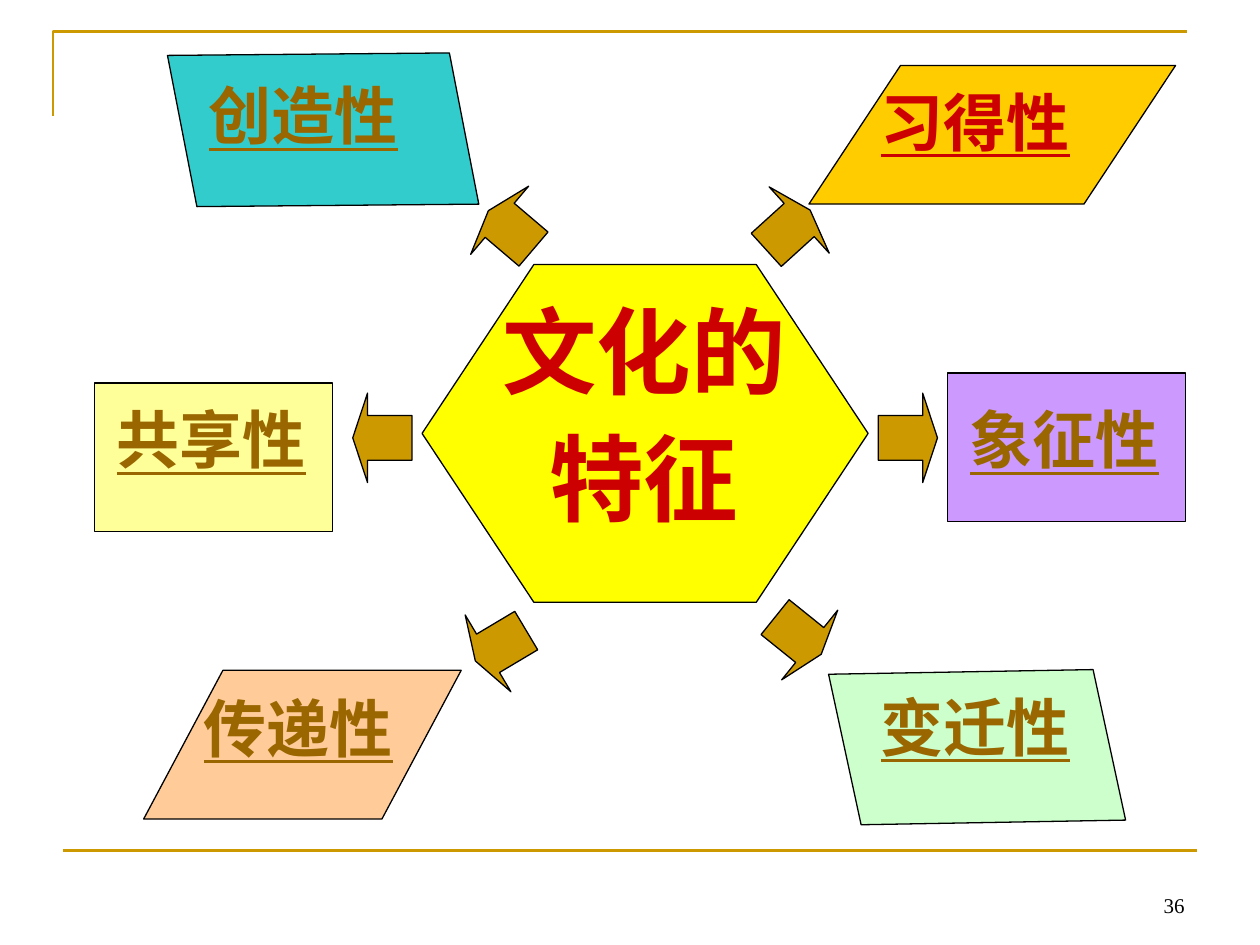
import dataclasses
import pptx
import pptx.util
import pptx.dml.color
import pptx.enum.shapes
import pptx.enum.text
import pptx.oxml.ns
import lxml.etree

Inches = pptx.util.Inches
Pt = pptx.util.Pt
Kind = pptx.enum.shapes.MSO_SHAPE
Align = pptx.enum.text.PP_ALIGN
Anchor = pptx.enum.text.MSO_ANCHOR


@dataclasses.dataclass(frozen=True)
class Theme:
    gold: str = "CC9900"
    black: str = "000000"
    red: str = "CC0000"
    brown: str = "996600"
    yellow: str = "FFFF00"
    orange: str = "FFCC00"
    peach: str = "FFCC99"
    mint: str = "CCFFCC"
    teal: str = "33CCCC"
    cream: str = "FFFF99"
    violet: str = "CC99FF"
    hei: str = "Noto Sans CJK SC"
    roman: str = "Times New Roman"
    head: int = 54
    label: int = 36
    small: int = 12
    rule: float = 1.5
    edge: float = 0.75


THEME = Theme()


def color(code):
    return pptx.dml.color.RGBColor.from_string(code)


def stroke(line, code, width):
    line.color.rgb = color(code)
    line.width = Pt(width)


def place(shape, box):
    shape.left, shape.top, shape.width, shape.height = map(Inches, box)


def add_run(para, text, size, code, face, bold=False, under=False):
    run = para.add_run()
    run.text = text
    font = run.font
    font.size = Pt(size)
    font.name = face
    font.bold = bold
    font.underline = under
    font.color.rgb = color(code)
    east = lxml.etree.Element(pptx.oxml.ns.qn("a:ea"), typeface=face)
    run._r.rPr.find(pptx.oxml.ns.qn("a:latin")).addnext(east)


def set_frame(shape, anchor=Anchor.TOP):
    frame = shape.text_frame
    frame.word_wrap = True
    frame.auto_size = pptx.enum.text.MSO_AUTO_SIZE.NONE
    frame.vertical_anchor = anchor
    return frame


def add_block(slide, box, kind, fill, turn=0, adjust=()):
    shape = slide.shapes.add_shape(kind, *map(Inches, box))
    shape.shadow.inherit = False
    shape.fill.solid()
    shape.fill.fore_color.rgb = color(fill)
    stroke(shape.line, THEME.black, THEME.edge)
    shape.rotation = turn
    for spot, value in enumerate(adjust):
        shape.adjustments[spot] = value
    return shape


def add_border(slide, box):
    left, top, width, height = box
    right = left + width
    pen = slide.shapes.build_freeform(Inches(left), Inches(top + 0.67))
    pen.add_line_segments(
        [(Inches(left), Inches(top)), (Inches(right), Inches(top))], close=False)
    corner = pen.convert_to_shape()
    corner.shadow.inherit = False
    corner.fill.background()
    stroke(corner.line, THEME.gold, THEME.rule)

    low = Inches(top + height)
    base = slide.shapes.add_connector(
        pptx.enum.shapes.MSO_CONNECTOR.STRAIGHT,
        Inches(left + 0.08), low, Inches(right + 0.08), low)
    stroke(base.line, THEME.gold, THEME.rule)
    lxml.etree.SubElement(base._element.spPr, pptx.oxml.ns.qn("a:effectLst"))


def add_number(slide, box, text):
    frame = set_frame(slide.shapes.add_textbox(*map(Inches, box)), Anchor.BOTTOM)
    para = frame.paragraphs[0]
    para.alignment = Align.RIGHT
    add_run(para, text, THEME.small, THEME.black, THEME.roman)


def add_center(slide, box, lines):
    left, top, width, height = box
    hexagon = add_block(slide, box, Kind.HEXAGON, THEME.yellow, adjust=(0.331,))
    title = slide.shapes.title
    place(title, (left + 0.45, top + 0.31, width - 0.92, height - 0.51))
    hexagon._element.addnext(title._element)
    frame = set_frame(title)
    for row, text in enumerate(lines):
        para = frame.add_paragraph() if row else frame.paragraphs[0]
        para.alignment = Align.CENTER
        para.space_before = Pt(18) if row else Pt(0)
        para.line_spacing = 0.85
        add_run(para, text, THEME.head, THEME.red, THEME.hei, bold=True)


def add_trait(slide, box, text, kind, fill, inset, wide,
              turn=0, adjust=(), ink=THEME.brown):
    add_block(slide, box, kind, fill, turn, adjust)
    spot = (box[0] + inset[0], box[1] + inset[1], wide, 0.71)
    label = slide.shapes.add_textbox(*map(Inches, spot))
    para = set_frame(label).paragraphs[0]
    para.line_spacing = 0.9
    add_run(para, text, THEME.label, ink, THEME.hei, bold=True, under=True)


def add_arrow(slide, left, top, turn):
    add_block(slide, (left, top, 0.47, 0.71), Kind.LEFT_ARROW,
              THEME.gold, turn, (0.5, 0.25))


def main():
    deck = pptx.Presentation()
    deck.slide_width, deck.slide_height = Inches(10), Inches(7.5)
    slide = deck.slides.add_slide(deck.slide_layouts[5])
    add_border(slide, (0.42, 0.25, 9, 6.5))
    add_number(slide, (7.17, 6.83, 2.33, 0.5), "36")
    add_center(slide, (3.35, 2.1, 3.54, 2.68), ("文化的", "特征"))

    slant, rect = Kind.PARALLELOGRAM, Kind.RECTANGLE
    add_trait(slide, (6.42, 0.52, 2.91, 1.1), "习得性", slant, THEME.orange,
              (0.47, 0.16), 2.44, adjust=(0.661,), ink=THEME.red)
    add_trait(slide, (1.14, 5.32, 2.52, 1.18), "传递性", slant, THEME.peach,
              (0.38, 0.17), 2.12, adjust=(0.533,))
    add_trait(slide, (6.94, 4.9, 1.63, 2.06), "变迁性", slant, THEME.mint,
              (-0.05, 0.58), 1.98, turn=257.8, adjust=(0.25,))
    add_trait(slide, (1.75, -0.07, 1.63, 2.2), "创造性", slant, THEME.teal,
              (-0.19, 0.7), 2.68, turn=259, adjust=(0.25,))
    add_trait(slide, (0.75, 3.04, 1.89, 1.18), "共享性", rect, THEME.cream,
              (0.08, 0.16), 1.81)
    add_trait(slide, (7.52, 2.96, 1.89, 1.18), "象征性", rect, THEME.violet,
              (0.08, 0.24), 1.73)

    for left, top, turn in (
        (2.8, 3.12, 0), (6.1, 4.69, 218.8), (6.02, 1.47, 137.8),
        (6.97, 3.12, 180), (3.74, 4.77, 329.2), (3.82, 1.47, 40.4),
    ):
        add_arrow(slide, left, top, turn)
    deck.save("out.pptx")


if __name__ == "__main__":
    main()
